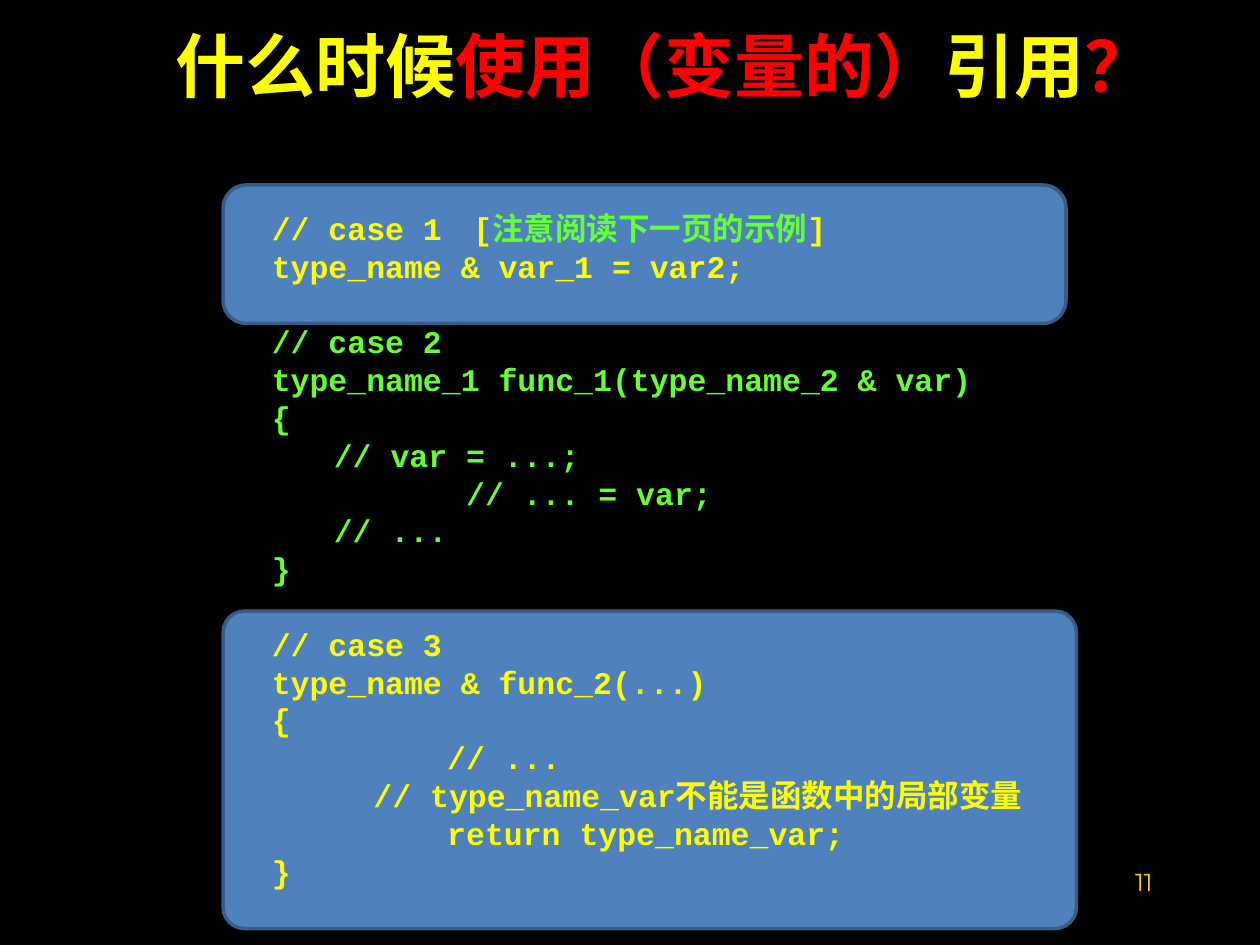
"""Builds the slide on when to use references to variables."""
from dataclasses import dataclass

from lxml import etree
from pptx import Presentation
from pptx.dml.color import RGBColor
from pptx.enum.shapes import MSO_SHAPE
from pptx.enum.text import PP_ALIGN
from pptx.oxml.ns import qn
from pptx.util import Cm, Pt

ROUNDED = MSO_SHAPE.ROUNDED_RECTANGLE
LEFT, CENTER, RIGHT = PP_ALIGN.LEFT, PP_ALIGN.CENTER, PP_ALIGN.RIGHT
YELLOW, RED, GREEN, GOLD = "FFFF00", "FF0000", "66FF33", "FFCC00"
CJK, MONO, NUMBER = "Noto Sans CJK SC", "Courier New", "Montserrat"
TAB_STEP, TAB_COUNT = Cm(1.25), 8
LINE_PITCH = Pt(21.6)


@dataclass
class Panel:
    left: float
    top: float
    width: float
    height: float
    radius: float


@dataclass
class Run:
    text: str
    color: str
    font: str


@dataclass
class Style:
    size: float
    bold: bool = False
    align: PP_ALIGN = LEFT
    spacing: float | Pt | None = None
    tabs: bool = False


PANELS = [
    Panel(4.5, 12.32, 17.2, 6.4, 0.067),
    Panel(4.5, 3.73, 16.99, 2.79, 0.167),
]
TITLE = [
    Run("什么时候", YELLOW, CJK),
    Run("使用（变量的）", RED, CJK),
    Run("引用", YELLOW, CJK),
    Run("？", RED, CJK),
]
CASE_1_HEAD = [
    Run("// case 1\u3000[".replace("\u3000", "　"), YELLOW, MONO),
    Run("注意阅读下一页的示例", GREEN, CJK),
    Run("]", YELLOW, MONO),
]
CASE_1 = ["type_name & var_1 = var2;"]
CASE_2 = [
    "// case 2",
    "type_name_1 func_1(type_name_2 & var)",
    "{",
    " \t// var = ...;",
    "\t       // ... = var;",
    "   \t// ...",
    "}",
]
CASE_3 = [
    "// case 3",
    "type_name & func_2(...)",
    "{",
    "\t      // ...",
    " 　　　// type_name_var不能是函数中的局部变量",
    "\t      return type_name_var;",
    "}",
]


def rgb(color: str) -> RGBColor:
    """Turn a hex string into a colour."""
    return RGBColor.from_string(color)


def code(lines: list[str], color: str) -> list[list[Run]]:
    """Turn code lines into one-run paragraphs."""
    return [[Run(line, color, MONO)] for line in lines]


def add_panel(s, panel: Panel) -> None:
    """Draw a rounded panel behind the code."""
    sp = s.shapes.add_shape(ROUNDED, Cm(panel.left), Cm(panel.top),
                            Cm(panel.width), Cm(panel.height))
    sp.adjustments[0] = panel.radius
    sp.shadow.inherit = False
    sp.fill.solid()
    sp.fill.fore_color.rgb = rgb("4F81BD")
    sp.line.color.rgb = rgb("385D8A")
    sp.line.width = Pt(2)


def add_tabs(p) -> None:
    """Give a paragraph evenly spaced left tab stops."""
    tabs = etree.SubElement(p._p.get_or_add_pPr(), qn("a:tabLst"))
    for i in range(TAB_COUNT):
        etree.SubElement(tabs, qn("a:tab"), pos=str(i * TAB_STEP), algn="l")


def fill_paragraph(p, runs: list[Run], style: Style) -> None:
    """Write runs into a paragraph, setting shared fonts once."""
    p.alignment = style.align
    if style.spacing:
        p.line_spacing = style.spacing
    if style.tabs:
        add_tabs(p)
    p.font.size, p.font.bold = Pt(style.size), style.bold
    uniform = len({(run.color, run.font) for run in runs}) == 1
    for run in runs:
        r = p.add_run()
        r.text = run.text
        font = p.font if uniform else r.font
        font.name = run.font
        font.color.rgb = rgb(run.color)
        if run.font != NUMBER:
            etree.SubElement(r._r.get_or_add_rPr(), qn("a:ea"), typeface=CJK)


def add_text(s, box: tuple[float, float, float, float],
             groups: list[list[list[Run]]], style: Style, wrap: bool = False) -> None:
    """Add a text box whose paragraph groups stand one line apart."""
    tf = s.shapes.add_textbox(*map(Cm, box)).text_frame
    tf.word_wrap = wrap
    p = tf.paragraphs[0]
    for g, group in enumerate(groups):
        for i, runs in enumerate(group):
            if g or i:
                p = tf.add_paragraph()
            if g and i == 0:
                p.space_before = LINE_PITCH
            fill_paragraph(p, runs, style)


def main() -> None:
    """Build and save the slide."""
    prs = Presentation()
    prs.slide_width, prs.slide_height = Cm(25.4), Cm(19.05)
    s = prs.slides.add_slide(prs.slide_layouts[6])
    s.background.fill.solid()
    s.background.fill.fore_color.rgb = rgb("000000")
    for panel in PANELS:
        add_panel(s, panel)
    add_text(s, (1.9, 0.53, 23.01, 2.59), [[TITLE]],
             Style(40, bold=True, align=CENTER, spacing=0.9))
    cases = [[CASE_1_HEAD, *code(CASE_1, YELLOW)], code(CASE_2, GREEN), code(CASE_3, YELLOW)]
    add_text(s, (5.23, 4.09, 16.28, 13.97), cases,
             Style(18, bold=True, spacing=LINE_PITCH, tabs=True))
    add_text(s, (18.21, 17.35, 5.28, 1.27), [[[Run("11", GOLD, NUMBER)]]],
             Style(14, align=RIGHT), wrap=True)
    prs.save("out.pptx")


if __name__ == "__main__":
    main()
